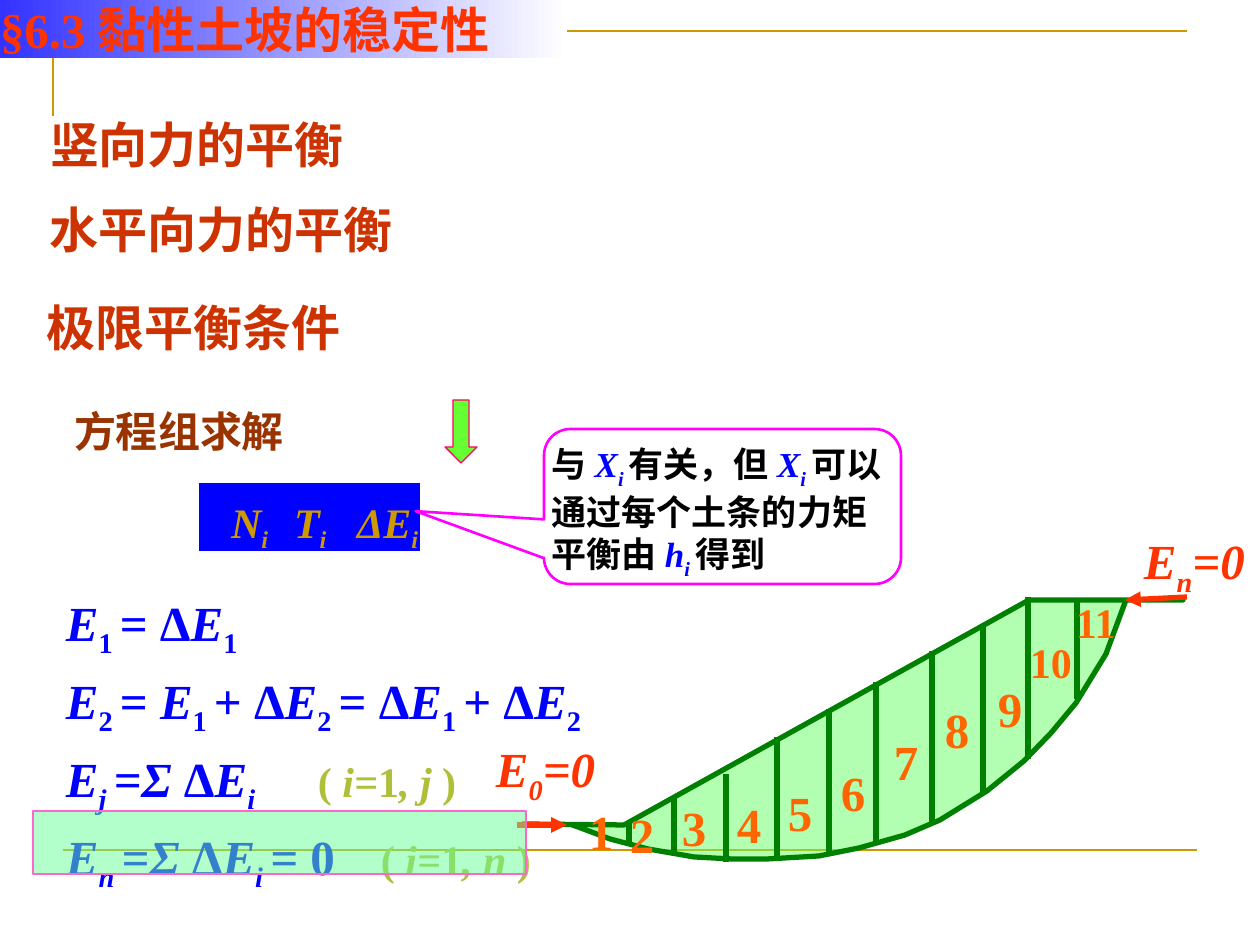
from dataclasses import dataclass
from lxml.etree import SubElement
from pptx import Presentation
from pptx.dml.color import RGBColor
from pptx.enum.shapes import MSO_CONNECTOR, MSO_SHAPE
from pptx.enum.text import MSO_ANCHOR, MSO_AUTO_SIZE, PP_ALIGN
from pptx.oxml.ns import qn
from pptx.util import Pt

SCALE = 914400 / 126


@dataclass(frozen=True)
class Theme:
    """Hold the colours, fonts and type sizes."""
    gold: str = "CC9900"
    red: str = "FF3300"
    brick: str = "CC3300"
    brown: str = "993300"
    orange: str = "FF6600"
    blue: str = "0000FF"
    olive: str = "AFBF39"
    black: str = "000000"
    green: str = "008000"
    soil: str = "66FF66"
    lime: str = "66FF33"
    mint: str = "66FF99"
    pink: str = "FF66CC"
    rose: str = "FF0066"
    violet: str = "FF00FF"
    start: str = "3333FF"
    white: str = "FFFFFF"
    sans: str = "Arial"
    serif: str = "Times New Roman"
    big: int = 28
    mid: int = 24
    small: int = 20


def px(*values):
    """Turn px lengths into EMU."""
    return [round(v * SCALE) for v in values]


def rgb(code):
    """Make a colour from its hex code."""
    return RGBColor.from_string(code)


def write(par, text, size, color, font, alt=None, altsize=None):
    """Write bold runs; * toggles italic, _ subscript and ~ the other colour."""
    on, part = set(), ""
    for char in text + "*":
        if char not in "*_~":
            part += char
            continue
        if part:
            run = par.add_run()
            run.text = part
            face = run.font
            face.name, face.bold, face.italic = font, True, "*" in on
            face.size = Pt(altsize if altsize and "~" in on else size)
            face.color.rgb = rgb(alt if "~" in on else color)
            if "_" in on:
                run._r.get_or_add_rPr().set("baseline", "-25000")
        part = ""
        on ^= {char}


class Deck:
    """Build elements on one slide in one style."""

    def __init__(self, theme):
        """Open a slide with a title and a body."""
        self.theme = theme
        self.file = Presentation()
        self.file.slide_width, self.file.slide_height = px(1260, 945)
        self.slide = self.file.slides.add_slide(self.file.slide_layouts[1])
        self.shapes = self.slide.shapes

    def place(self, shape, box):
        """Move a shape to its box."""
        shape.left, shape.top, shape.width, shape.height = px(*box)

    def fill(self, frame, lines, pads=(13, 6, 13, 6), anchor=MSO_ANCHOR.TOP,
             gap=0, tabs=None, **style):
        """Fill a text frame with lines."""
        frame.word_wrap, frame.auto_size = True, MSO_AUTO_SIZE.NONE
        frame.vertical_anchor = anchor
        (frame.margin_left, frame.margin_top,
         frame.margin_right, frame.margin_bottom) = px(*pads)
        for i, line in enumerate(lines):
            par = frame.add_paragraph() if i else frame.paragraphs[0]
            par.alignment = PP_ALIGN.LEFT
            par.space_before = Pt(gap if i else 0)
            props = par._p.get_or_add_pPr()
            props.set("marL", "0")
            props.set("indent", "0")
            SubElement(props, qn("a:buNone"))
            if tabs and i in tabs:
                stops = SubElement(props, qn("a:tabLst"))
                for stop in px(*tabs[i]):
                    SubElement(stops, qn("a:tab"), pos=str(stop), algn="l")
            write(par, line, **style)

    def title(self, text, box, **style):
        """Set the title on a fading bar."""
        shape = self.shapes.title
        self.place(shape, box)
        shape.fill.gradient()
        shape.fill.gradient_angle = 0
        for stop, code, spot in zip(shape.fill.gradient_stops,
                                    (self.theme.start, self.theme.white), (0, 1)):
            stop.color.rgb, stop.position = rgb(code), spot
        self.fill(shape.text_frame, [text], (0, 0, 0, 0), MSO_ANCHOR.BOTTOM, **style)

    def body(self, lines, box, **style):
        """Set the list of lines."""
        shape = self.slide.placeholders[1]
        self.place(shape, box)
        self.fill(shape.text_frame, lines, **style)

    def label(self, text, box, **style):
        """Add a text box."""
        self.fill(self.shapes.add_textbox(*px(*box)).text_frame, [text], **style)

    def paint(self, shape, fill=None, line=None, width=0.75, alpha=None):
        """Set fill, outline and transparency."""
        shape.shadow.inherit = False
        if fill:
            shape.fill.solid()
            shape.fill.fore_color.rgb = rgb(fill)
        else:
            shape.fill.background()
        if alpha:
            tint = next(shape.element.spPr.iter(qn("a:srgbClr")))
            SubElement(tint, qn("a:alpha"), val=str(alpha * 1000))
        if line:
            shape.line.color.rgb, shape.line.width = rgb(line), Pt(width)
        else:
            shape.line.fill.background()
        return shape

    def shape(self, kind, box, bends=(), **look):
        """Add a preset shape."""
        shape = self.shapes.add_shape(kind, *px(*box))
        for i, bend in enumerate(bends):
            shape.adjustments[i] = bend
        return self.paint(shape, **look)

    def trace(self, points, **look):
        """Add an open outline through points."""
        pen = self.shapes.build_freeform(*points[0], scale=SCALE)
        pen.add_line_segments(points[1:], close=False)
        return self.paint(pen.convert_to_shape(), **look)

    def line(self, ends, color, width=3, head=False):
        """Add a line or an arrow."""
        line = self.shapes.add_connector(MSO_CONNECTOR.STRAIGHT, *px(*ends))
        line.line.color.rgb, line.line.width = rgb(color), Pt(width)
        if head:
            SubElement(line.line._get_or_add_ln(), qn("a:tailEnd"), type="triangle")
        SubElement(line.element.spPr, qn("a:effectLst"))
        return line

    def back(self, shape):
        """Put a shape behind the title."""
        self.shapes.title.element.addprevious(shape.element)


def main():
    """Build and save the slide."""
    t = Theme()
    deck = Deck(t)
    serif = dict(font=t.serif, size=t.big)
    sans = dict(font=t.sans, size=t.big, color=t.brick)

    deck.back(deck.trace([(53, 116), (53, 31), (1187, 31)], line=t.gold, width=1.5))
    deck.back(deck.line((63, 850, 1197, 850), t.gold, 1.5))
    deck.title("§6.3 黏性土坡的稳定性", (0, -1, 567, 59), color=t.red, **serif)
    deck.body(["*E*_1 _= Δ*E*_1_",
               "*E*_2 _= *E*_1 _+ Δ*E*_2 _= Δ*E*_1 _+ Δ*E*_2_",
               "*E_j _=Σ *Δ*E_i_*\t~( *i=*1*, j *)~",
               "*E_n _=Σ *Δ*E_i _= *0\t~( *i=*1*, n *)~"],
              (53, 586, 672, 284), gap=6.4, tabs={2: [213], 3: [297]},
              color=t.blue, alt=t.olive, altsize=t.mid, **serif)

    deck.label("竖向力的平衡", (37, 108, 320, 72), **sans)
    deck.label("水平向力的平衡", (37, 193, 375, 72), **sans)
    deck.label("极限平衡条件", (47, 297, 319, 59), pads=(0, 0, 0, 0), **sans)
    deck.label("方程组求解", (74, 406, 220, 50), pads=(0, 0, 0, 0),
               font=t.sans, size=t.mid, color=t.brown)
    deck.shape(MSO_SHAPE.DOWN_ARROW, (445, 400, 32, 63), (0.5, 0.5),
               fill=t.lime, line=t.rose)

    deck.trace([(522, 824), (624, 825), (1029, 600), (1183, 600), (1126, 600),
                (1106, 654), (1076, 703), (1051, 733), (1024, 761), (987, 791),
                (940, 820), (905, 835), (859, 848), (819, 856), (767, 859),
                (732, 859), (694, 857), (648, 849), (610, 839), (578, 827),
                (572, 825)], fill=t.soil, alpha=50, line=t.green, width=3)
    for x, top, base in [(629, 822, 844), (674, 796, 854), (726, 774, 862),
                         (777, 737, 858), (829, 709, 853), (876, 682, 843),
                         (932, 651, 823), (983, 625, 793), (1028, 597, 759),
                         (1077, 600, 699)]:
        deck.line((x, base, x, top), t.green)
    spots = [(576, 796), (617, 798), (669, 791), (724, 788), (775, 777), (828, 756),
             (881, 725), (932, 693), (985, 672), (1017, 630), (1063, 590)]
    for i, (x, y) in enumerate(spots, 1):
        deck.label(str(i), (x, y, 73, 72), font=t.serif, color=t.orange,
                   size=t.big if i < 10 else t.mid)

    deck.line((517, 825, 567, 825), t.red, head=True)
    deck.line((1187, 597, 1125, 600), t.red, head=True)
    deck.label("*E_0_=0*", (483, 733, 166, 72), color=t.red, **serif)
    deck.label("*E_n_=0*", (1131, 525, 179, 72), color=t.red, **serif)

    known = deck.shape(MSO_SHAPE.RECTANGLE, (199, 483, 221, 68), fill=t.blue)
    deck.fill(known.text_frame, ["*N_i_\tT_i_\tΔE_i_*"], (32, 13, 0, 0),
              tabs={0: [58, 111]}, font=t.serif, size=t.mid, color=t.gold)
    deck.shape(MSO_SHAPE.RECTANGLE, (33, 811, 493, 63),
               fill=t.mint, alpha=50, line=t.pink)
    note = deck.shape(MSO_SHAPE.ROUNDED_RECTANGULAR_CALLOUT, (544, 429, 357, 155),
                      (-0.86, 0.03, 0.17), line=t.violet, width=1.5)
    deck.fill(note.text_frame,
              ["与 ~*X_i _*~有关，但 ~*X_i _*~可以通过每个土条的力矩平衡由 ~*h_i _*~得到"],
              (0, 6, 0, 6), font=t.serif, size=t.small, color=t.black, alt=t.blue)
    deck.file.save("out.pptx")


if __name__ == "__main__":
    main()
